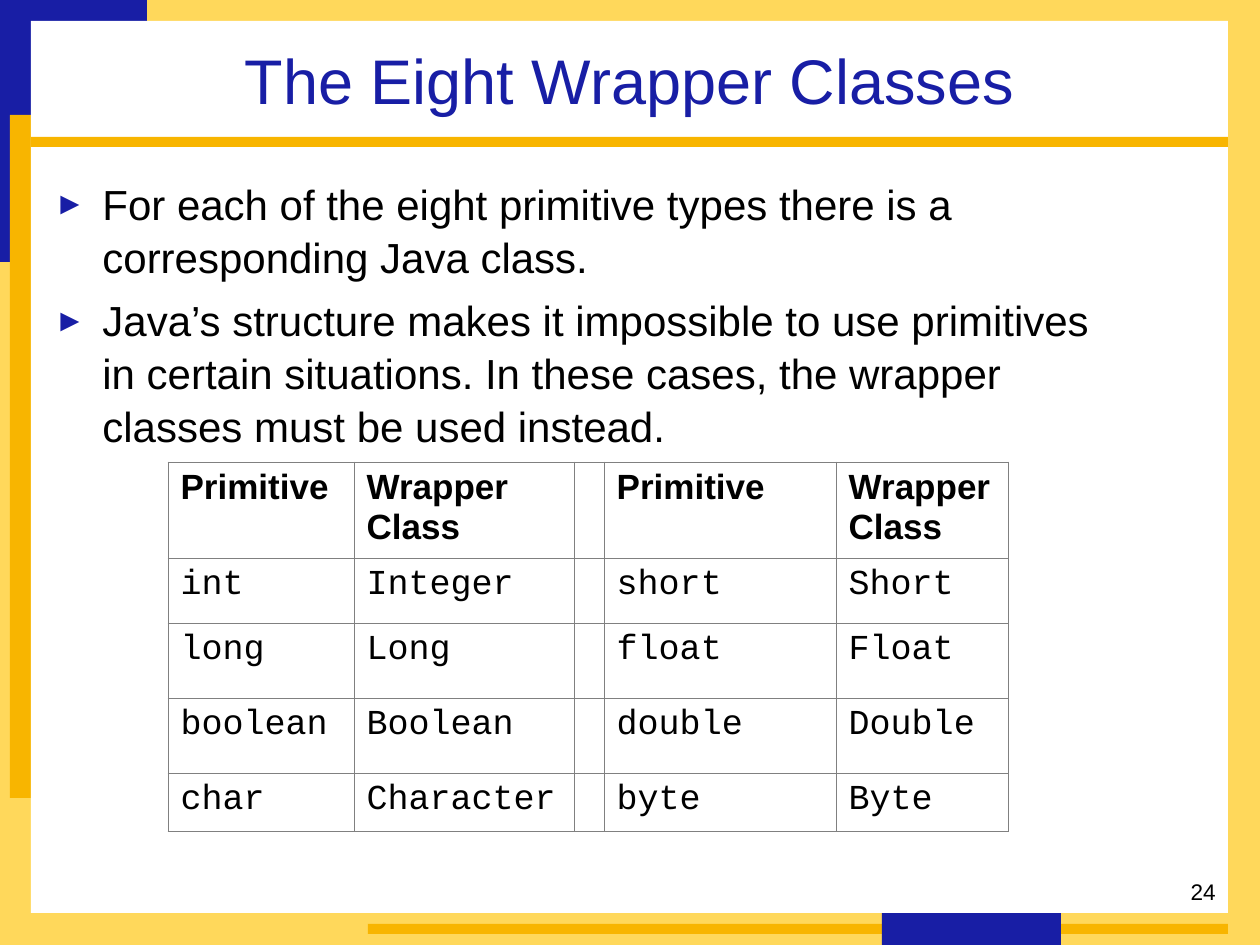
from lxml import etree
from pptx import Presentation
from pptx.dml.color import RGBColor
from pptx.enum.shapes import MSO_SHAPE
from pptx.enum.text import MSO_ANCHOR, PP_ALIGN
from pptx.oxml import parse_xml
from pptx.oxml.ns import qn
from pptx.util import Pt

PX = 914400 / 126
RECTANGLE = MSO_SHAPE.RECTANGLE
TOP, MIDDLE = MSO_ANCHOR.TOP, MSO_ANCHOR.MIDDLE
LEFT, CENTER, RIGHT = PP_ALIGN.LEFT, PP_ALIGN.CENTER, PP_ALIGN.RIGHT
BLACK = RGBColor(0x00, 0x00, 0x00)
WHITE = RGBColor(0xFF, 0xFF, 0xFF)
BLUE = RGBColor(0x18, 0x1E, 0xA5)
YELLOW = RGBColor(0xFF, 0xD8, 0x5B)
GOLD = RGBColor(0xF8, 0xB5, 0x00)
GRAY = RGBColor(0x80, 0x80, 0x80)
NAMESPACE = 'xmlns:a="http://schemas.openxmlformats.org/drawingml/2006/main"'


def emu(*lengths):
    return [round(length * PX) for length in lengths]


def write(para, text, font):
    para.text = text
    for span in para.runs:
        span.font.color.rgb = font["color"]
        for name in ("name", "size", "bold"):
            setattr(span.font, name, font[name])


deck = Presentation()
deck.slide_width, deck.slide_height = emu(1260, 945)
page = deck.slides.add_slide(deck.slide_layouts[6])

FRAME = [
    (0, 0, 1260, 945, YELLOW),
    (0, 0, 147, 262, BLUE),
    (10, 115, 53, 683, GOLD),
    (31, 21, 1197, 892, WHITE),
    (368, 924, 860, 10, GOLD),
    (31, 137, 1197, 10, GOLD),
    (882, 913, 179, 32, BLUE),
]
for *bounds, color in FRAME:
    panel = page.shapes.add_shape(RECTANGLE, *emu(*bounds))
    panel.shadow.inherit = False
    panel.fill.solid()
    panel.fill.fore_color.rgb = color
    panel.line.fill.background()

TITLE = {"name": "Arial", "size": Pt(36), "bold": False, "color": BLUE}
BODY = {"name": "Arial", "size": Pt(24), "bold": False, "color": BLACK}
NUMBER = {"name": "Arial", "size": Pt(12.9), "bold": False, "color": BLACK}
HEADING = {"name": "Arial", "size": Pt(20), "bold": True, "color": BLACK}
CODE = {"name": "Courier New", "size": Pt(20), "bold": False, "color": BLACK}

BULLETS = [
    "For each of the eight primitive types there is a corresponding Java class.",
    "Java’s structure makes it impossible to use primitives in certain situations. "
    "In these cases, the wrapper classes must be used instead.",
]
TEXTS = [
    ((903, 872, 325, 42), ["24"], NUMBER, RIGHT, TOP),
    ((31, 21, 1197, 116), ["The Eight Wrapper Classes"], TITLE, CENTER, MIDDLE),
    ((42, 170, 1061, 660), BULLETS, BODY, LEFT, TOP),
]
for bounds, lines, font, alignment, anchor in TEXTS:
    box = page.shapes.add_textbox(*emu(*bounds))
    frame = box.text_frame
    frame.word_wrap = True
    frame.vertical_anchor = anchor
    for index, line in enumerate(lines):
        para = frame.add_paragraph() if index else frame.paragraphs[0]
        write(para, line, font)
        para.alignment = alignment
        if lines is BULLETS:
            para.line_spacing = 1.05
            para.space_before = Pt(6 if index else 0)
            properties = para._p.get_or_add_pPr()
            indent = emu(48)[0]
            properties.set("marL", str(indent))
            properties.set("indent", str(-indent))
            for bullet in (
                f'<a:buClr {NAMESPACE}><a:srgbClr val="{BLUE}"/></a:buClr>',
                f'<a:buSzPct {NAMESPACE} val="75000"/>',
                f'<a:buFont {NAMESPACE} typeface="Arial"/>',
                f'<a:buChar {NAMESPACE} char="►"/>',
            ):
                properties.append(parse_xml(bullet))

ROWS = [
    ("Primitive", "Wrapper\vClass", "", "Primitive", "Wrapper Class"),
    ("int", "Integer", "", "short", "Short"),
    ("long", "Long", "", "float", "Float"),
    ("boolean", "Boolean", "", "double", "Double"),
    ("char", "Character", "", "byte", "Byte"),
]
WIDTHS = emu(186, 220, 30, 232, 172)
HEIGHTS = emu(96, 65, 75, 75, 58)
table = page.shapes.add_table(
    len(ROWS), len(WIDTHS), *emu(168, 462), sum(WIDTHS), sum(HEIGHTS)
).table
table.first_row = False
table.horz_banding = False
for column, width in zip(table.columns, WIDTHS):
    column.width = width
for row, height, texts in zip(table.rows, HEIGHTS, ROWS):
    row.height = height
    for cell, text in zip(row.cells, texts):
        write(cell.text_frame.paragraphs[0], text, HEADING if texts is ROWS[0] else CODE)
        properties = cell._tc.get_or_add_tcPr()
        for side in ("lnL", "lnR", "lnT", "lnB"):
            border = etree.SubElement(properties, qn(f"a:{side}"), w=str(Pt(0.45)))
            paint = etree.SubElement(border, qn("a:solidFill"))
            etree.SubElement(paint, qn("a:srgbClr"), val=str(GRAY))
        cell.fill.background()

deck.save("out.pptx")
